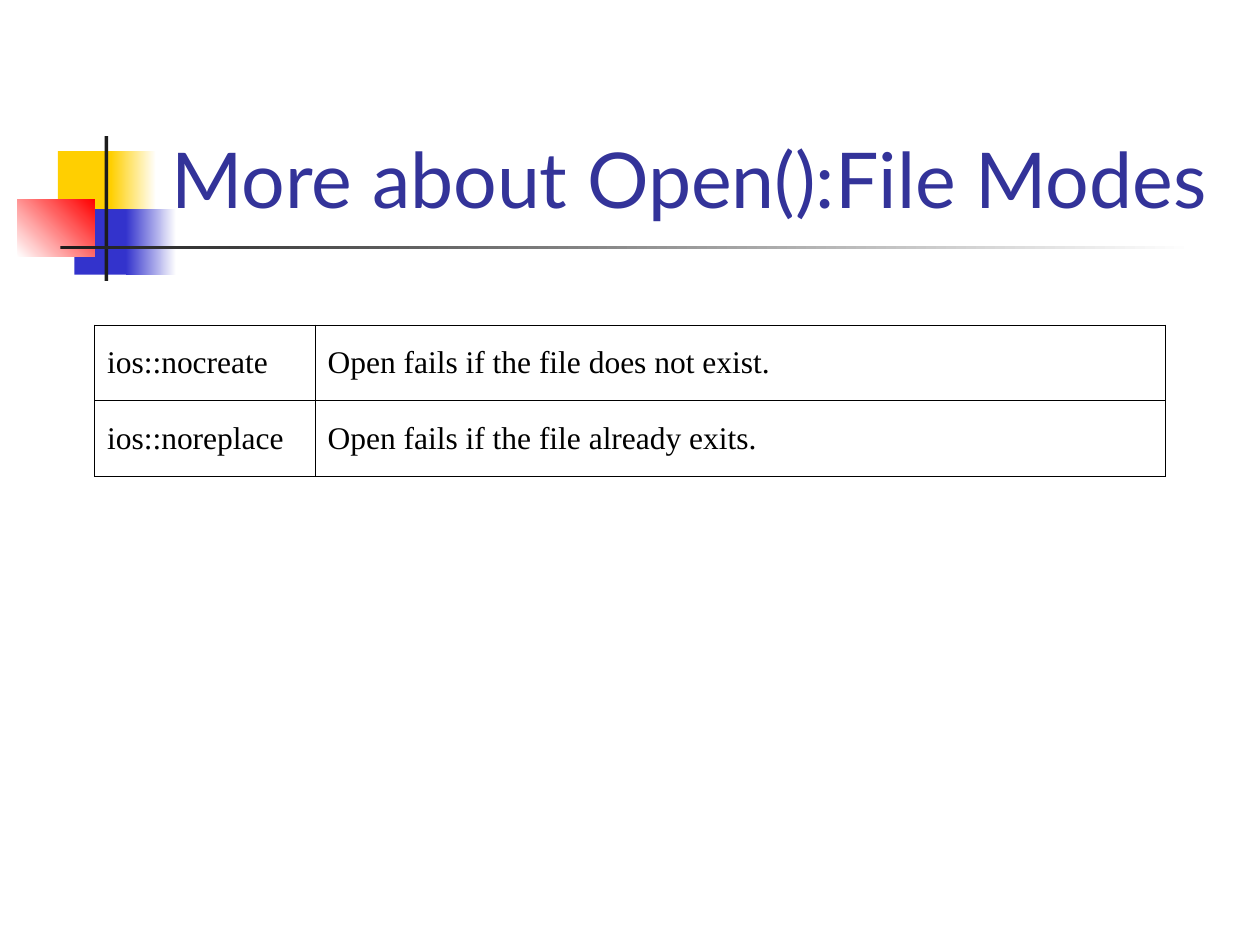
from lxml import etree
from pptx import Presentation
from pptx.dml.color import RGBColor
from pptx.enum import shapes, text
from pptx.oxml.ns import qn
from pptx.util import Inches, Pt

MODES = [
    ("ios::nocreate", "Open fails if the file does not exist."),
    ("ios::noreplace", "Open fails if the file already exits."),
]


def rgb(hex_color):
    return RGBColor.from_string(hex_color)


def add_block(slide, box, color, end_color=None, angle=0):
    """Borderless rectangle, fading from color to end_color if one is given."""
    block = slide.shapes.add_shape(
        shapes.MSO_SHAPE.RECTANGLE, *(Inches(length) for length in box))
    block.shadow.inherit = False
    block.line.fill.background()
    if end_color is None:
        block.fill.solid()
        block.fill.fore_color.rgb = rgb(color)
        return
    block.fill.gradient()
    block.fill.gradient_angle = angle
    for stop, stop_color in zip(block.fill.gradient_stops, (color, end_color)):
        stop.color.rgb = rgb(stop_color)


def add_ornament(slide, left, top):
    """Coloured squares and crossing rules; left and top are in inches."""
    def block(x, y, width, height, *fill):
        add_block(slide, (left + x, top + y, width, height), *fill)

    block(0.32, 0.12, 0.48, 0.52, "FFCF01")
    block(0.74, 0.12, 0.36, 0.52, "FFCF01", "FFFFFF")
    block(0.45, 0.58, 0.46, 0.52, "3333CC")
    block(0.86, 0.58, 0.4, 0.52, "3333CC", "FFFFFF")
    block(0, 0.5, 0.61, 0.46, "FFFFFF", "FF0000", 45)
    block(0.69, 0, 0.03, 1.15, "1C1C1C")
    block(0.34, 0.87, 9, 0.03, "1C1C1C", "FFFFFF")


def add_run(paragraph, words, font_name, size, color):
    run = paragraph.add_run()
    run.text = words
    run.font.name = font_name
    run.font.size = Pt(size)
    run.font.color.rgb = rgb(color)


def add_title(slide, left, top, width, height, words):
    frame = slide.shapes.add_textbox(left, top, width, height).text_frame
    frame.word_wrap = True
    frame.vertical_anchor = text.MSO_ANCHOR.BOTTOM
    add_run(frame.paragraphs[0], words, "Lato", 44, "333399")


def set_borders(cell, color, width):
    properties = cell._tc.get_or_add_tcPr()
    for side in ("lnL", "lnR", "lnT", "lnB"):
        line = etree.SubElement(properties, qn(f"a:{side}"), w=str(Pt(width)))
        fill = etree.SubElement(line, qn("a:solidFill"))
        etree.SubElement(fill, qn("a:srgbClr"), val=color)


def add_modes_table(slide, left, top, width, height):
    table = slide.shapes.add_table(
        len(MODES), 2, left, top, width, height).table
    table.first_row = table.horz_banding = False
    mode_width = Inches(1.75)
    table.columns[0].width = mode_width
    table.columns[1].width = width - mode_width
    for row, entries in enumerate(MODES):
        for column, words in enumerate(entries):
            cell = table.cell(row, column)
            cell.vertical_anchor = text.MSO_ANCHOR.MIDDLE
            set_borders(cell, "000000", 0.45)
            cell.fill.background()
            paragraph = cell.text_frame.paragraphs[0]
            hanging = paragraph._p.get_or_add_pPr()
            hanging.set("marL", str(Inches(0.38)))
            hanging.set("indent", str(-Inches(0.38)))
            add_run(paragraph, words, "Times New Roman", 18, "000000")


def main():
    deck = Presentation()
    deck.slide_width, deck.slide_height = Inches(10), Inches(7.5)
    slide = deck.slides.add_slide(deck.slide_layouts[6])
    add_ornament(slide, 0.14, 1.08)
    add_title(slide, Inches(1.26), Inches(0.23), Inches(8.52), Inches(1.6),
              "More about Open():File Modes")
    add_modes_table(slide, Inches(0.75), Inches(2.58), Inches(8.5), Inches(1.2))
    deck.save("out.pptx")


if __name__ == "__main__":
    main()
